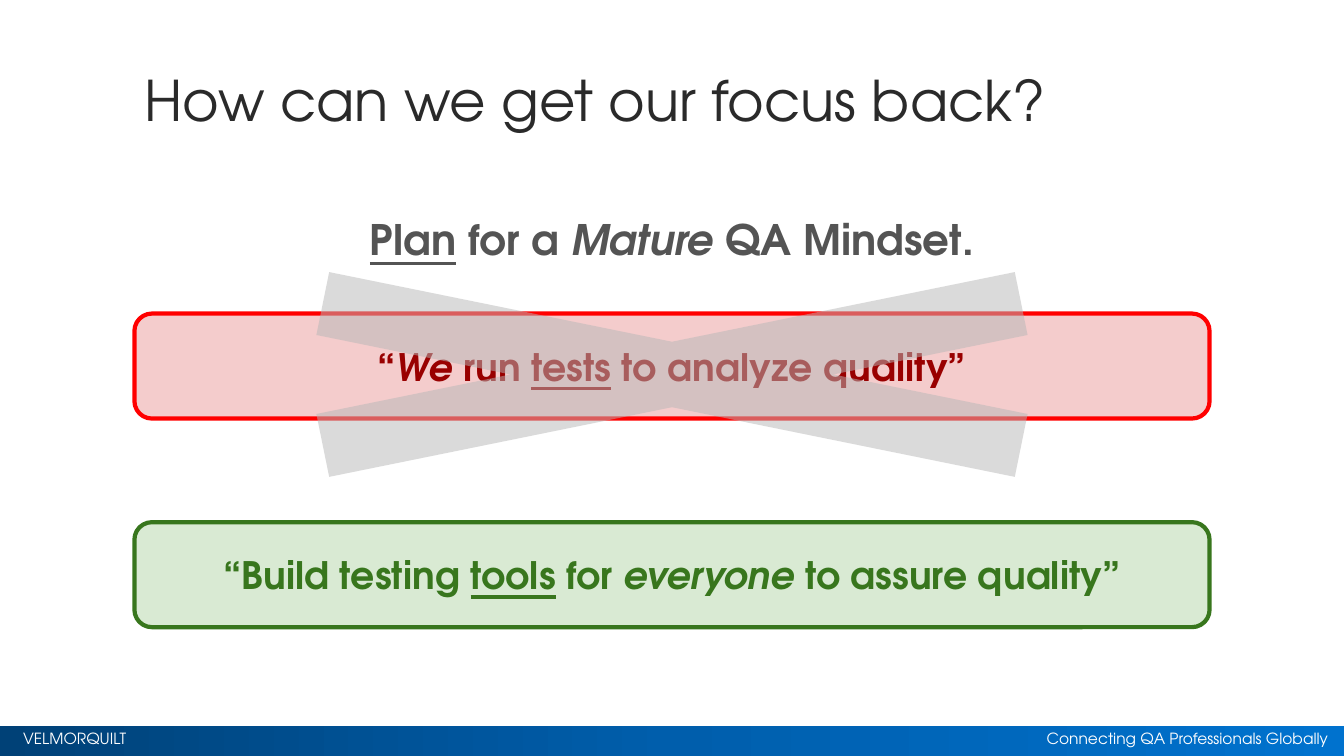
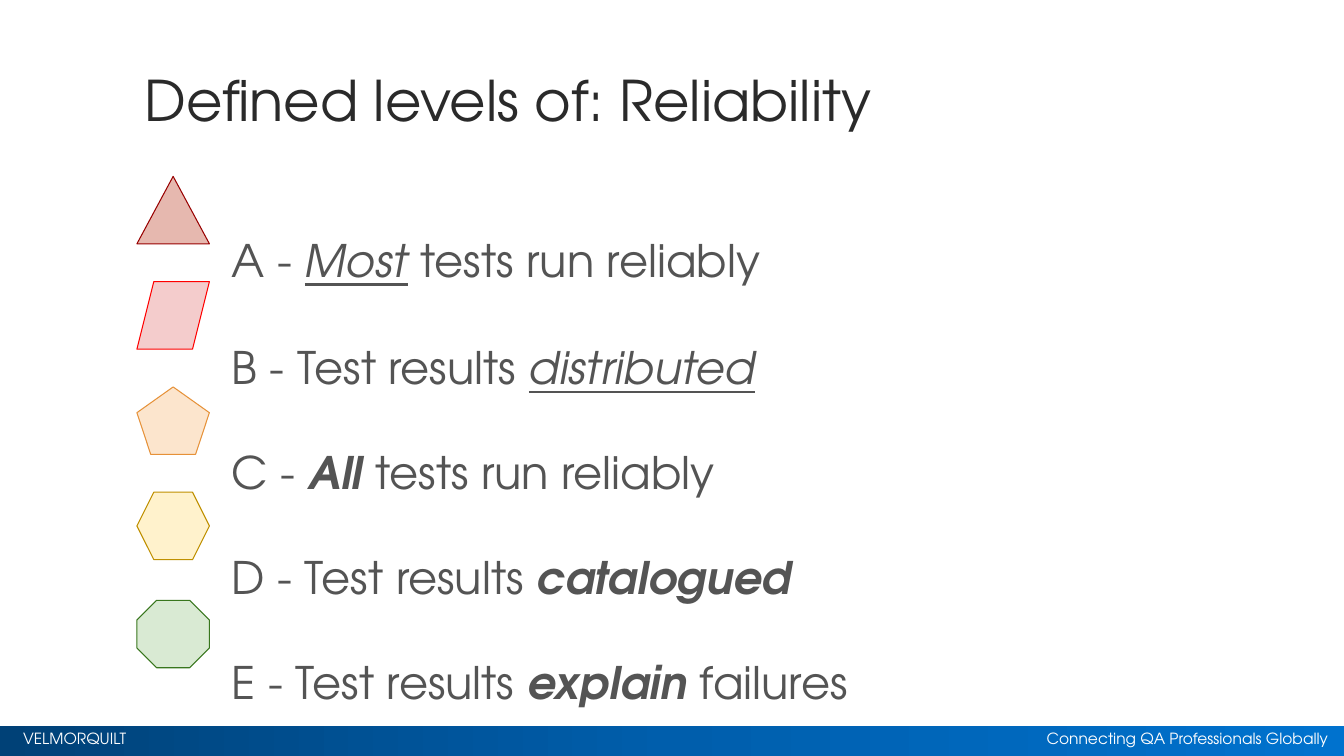
"""Build two slides on QA focus and levels of test reliability."""
import copy
from dataclasses import dataclass

import lxml.etree
import pptx
import pptx.dml.color
import pptx.enum.shapes
import pptx.enum.text
import pptx.oxml.ns
import pptx.util

Pt = pptx.util.Pt
RGB = pptx.dml.color.RGBColor.from_string
SHAPE = pptx.enum.shapes.MSO_SHAPE
ALIGN = pptx.enum.text.PP_ALIGN
ANCHOR = pptx.enum.text.MSO_ANCHOR


@dataclass(frozen=True)
class Theme:
    """Hold the colours, font and type sizes of the deck."""
    font: str = "TeX Gyre Adventor"
    title: str = "2A2A2A"
    body: str = "545454"
    footer: str = "FFFFFF"
    cross: str = "B7B7B7"
    band: tuple = ("004177", "005EAC", "0072CE")
    dark_red: tuple = ("E6B8AF", "980000")
    red: tuple = ("F4CCCC", "FF0000")
    orange: tuple = ("FCE5CD", "E69138")
    yellow: tuple = ("FFF2CC", "BF9000")
    green: tuple = ("D9EAD3", "38761D")
    red_text: str = "990000"
    title_size: int = 40
    levels_size: int = 32
    lead_size: int = 30
    quote_size: int = 27
    footer_size: int = 11


THEME = Theme()
WIDTH, HEIGHT = 960, 540
MARGIN, CONTENT_WIDTH = 96, 768
BAND_TOP = 518.4

FOOTERS = [
    ("VELMORQUILT", 9.4, 110, ALIGN.LEFT),
    ("Connecting QA Professionals Globally", 530.6, 425.5, ALIGN.RIGHT),
]

FOCUS_TITLE = "How can we get our focus back?"
FOCUS_LEAD = [("Plan", "u"), (" for a ", ""), ("Mature", "i"), (" QA Mindset.", "")]
QUOTES = [
    (224, THEME.red, THEME.red_text,
     [("“", ""), ("We", "i"), (" run ", ""), ("tests", "u"), (" to analyze quality”", "")]),
    (373, THEME.green, THEME.green[1],
     [("“Build testing ", ""), ("tools", "u"), (" for ", ""), ("everyone", "i"),
      (" to assure quality”", "")]),
]

LEVELS_TITLE = "Defined levels of: Reliability"
LEVELS = [
    (SHAPE.ISOSCELES_TRIANGLE, THEME.dark_red, 0, 1.95,
     [("A - ", ""), ("Most", "iu"), (" tests run reliably", "")]),
    (SHAPE.PARALLELOGRAM, THEME.red, 0, 2.0,
     [("B - Test results ", ""), ("distributed", "iu")]),
    (SHAPE.REGULAR_PENTAGON, THEME.orange, 0, 1.95,
     [("C - ", ""), ("All", "bi"), (" tests run reliably", "")]),
    (SHAPE.HEXAGON, THEME.yellow, 0, 1.95,
     [("D - Test results ", ""), ("catalogued", "bi")]),
    (SHAPE.OCTAGON, THEME.green, 2, 1.95,
     [("E - Test results ", ""), ("explain", "bi"), (" failures", "")]),
]
LEVELS_TOP, LEVELS_PITCH = 126, 75.2


def write(frame, paragraphs, *, size, color, bold=False, align=ALIGN.LEFT,
          spacings=(1.0,), anchor=ANCHOR.TOP, inset=3.6):
    """Fill a text frame with paragraphs of (text, style letters) runs."""
    frame.word_wrap = True
    frame.auto_size = pptx.enum.text.MSO_AUTO_SIZE.NONE
    frame.vertical_anchor = anchor
    frame.margin_left = frame.margin_right = Pt(7.2)
    frame.margin_top = frame.margin_bottom = Pt(inset)
    for index, (runs, spacing) in enumerate(zip(paragraphs, spacings)):
        paragraph = frame.add_paragraph() if index else frame.paragraphs[0]
        paragraph.alignment = align
        paragraph.line_spacing = spacing
        paragraph.space_before = paragraph.space_after = Pt(0)
        for text, style in runs:
            run = paragraph.add_run()
            run.text = text
            run.font.name = THEME.font
            run.font.size = Pt(size)
            run.font.color.rgb = RGB(color)
            run.font.bold = bold or "b" in style
            run.font.italic = "i" in style
            run.font.underline = "u" in style


def place(part, left, top, width, height):
    """Set the position and size of a part in points."""
    part.left, part.top, part.width, part.height = map(Pt, (left, top, width, height))


def draw(slide, preset, box, fill=None, line=None, line_width=0.75):
    """Add a flat preset shape."""
    shape = slide.shapes.add_shape(preset, *map(Pt, box))
    shape.shadow.inherit = False
    if fill:
        shape.fill.solid()
        shape.fill.fore_color.rgb = RGB(fill)
    if line:
        shape.line.color.rgb = RGB(line)
        shape.line.width = Pt(line_width)
    else:
        shape.line.fill.background()
    return shape


def set_up_layout(layout):
    """Fit the layout to the wide page and keep only title and body."""
    for holder in list(layout.placeholders):
        if holder.placeholder_format.idx > 1:
            holder.element.getparent().remove(holder.element)
    title, body = layout.placeholders
    place(title, MARGIN, 21.6, CONTENT_WIDTH, 104.4)
    place(body, MARGIN, 131, CONTENT_WIDTH, 350)


def add_footer(slide, layout):
    """Draw the footer band and move it to the shared layout."""
    band = draw(slide, SHAPE.RECTANGLE, (0, BAND_TOP, WIDTH, HEIGHT - BAND_TOP))
    band.fill.gradient()
    band.fill.gradient_angle = 0
    last_stop = band.element.xpath(".//a:gs")[-1]
    last_stop.addnext(copy.deepcopy(last_stop))
    for stop, color, position in zip(band.fill.gradient_stops, THEME.band, (0, 0.5, 1)):
        stop.color.rgb = RGB(color)
        stop.position = position
    parts = [band]
    for text, left, width, align in FOOTERS:
        label = slide.shapes.add_textbox(*map(Pt, (left, 519, width, 19.4)))
        write(label.text_frame, [[(text, "")]], size=THEME.footer_size,
              color=THEME.footer, align=align, spacings=[0.9])
        parts.append(label)
    for part in parts:
        layout.shapes.element.append(part.element)


def start_slide(deck, layout, heading):
    """Add a slide with its title and return it with its body."""
    slide = deck.slides.add_slide(layout)
    write(slide.shapes.title.text_frame, [[(heading, "")]], size=THEME.title_size,
          color=THEME.title, spacings=[0.9], anchor=ANCHOR.MIDDLE)
    return slide, slide.placeholders[1]


def write_body(body, paragraphs, **style):
    """Write body paragraphs without bullets or indents."""
    write(body.text_frame, paragraphs, color=THEME.body, **style)
    for paragraph in body.element.xpath(".//a:pPr"):
        paragraph.set("marL", "0")
        paragraph.set("indent", "0")
        lxml.etree.SubElement(paragraph, pptx.oxml.ns.qn("a:buNone"))


def build_focus(deck, layout):
    """Build the slide that contrasts two mindsets."""
    slide, lead = start_slide(deck, layout, FOCUS_TITLE)
    place(lead, MARGIN, 131, CONTENT_WIDTH, 73.4)
    write_body(lead, [FOCUS_LEAD], size=THEME.lead_size, bold=True,
               align=ALIGN.CENTER, spacings=[1.5])
    for top, (fill, line), color, runs in QUOTES:
        quote = draw(slide, SHAPE.ROUNDED_RECTANGLE, (MARGIN, top, CONTENT_WIDTH, 75),
                     fill, line, 3)
        write(quote.text_frame, [runs], size=THEME.quote_size, color=color, bold=True,
              align=ALIGN.CENTER, anchor=ANCHOR.MIDDLE, inset=7.2)
    cross = draw(slide, SHAPE.MATH_MULTIPLY, (0, 170, WIDTH, 195), THEME.cross)
    tint = cross.element.xpath("./p:spPr/a:solidFill/a:srgbClr")[0]
    lxml.etree.SubElement(tint, pptx.oxml.ns.qn("a:alpha")).set("val", "51000")
    return slide


def build_levels(deck, layout):
    """Build the slide that lists the reliability levels."""
    slide, levels = start_slide(deck, layout, LEVELS_TITLE)
    place(levels, 158.4, LEVELS_TOP, 705, 355)
    write_body(levels, [level[-1] for level in LEVELS], size=THEME.levels_size,
               spacings=[level[-2] for level in LEVELS])
    for index, (preset, (fill, line), nudge, *_) in enumerate(LEVELS):
        top = LEVELS_TOP + index * LEVELS_PITCH + nudge
        draw(slide, preset, (97.8, top, 51.8, 48.2), fill, line)


def main():
    """Build and save the deck."""
    deck = pptx.Presentation()
    deck.slide_width, deck.slide_height = Pt(WIDTH), Pt(HEIGHT)
    layout = deck.slide_layouts[1]
    set_up_layout(layout)
    focus = build_focus(deck, layout)
    add_footer(focus, layout)
    build_levels(deck, layout)
    deck.save("out.pptx")


if __name__ == "__main__":
    main()
